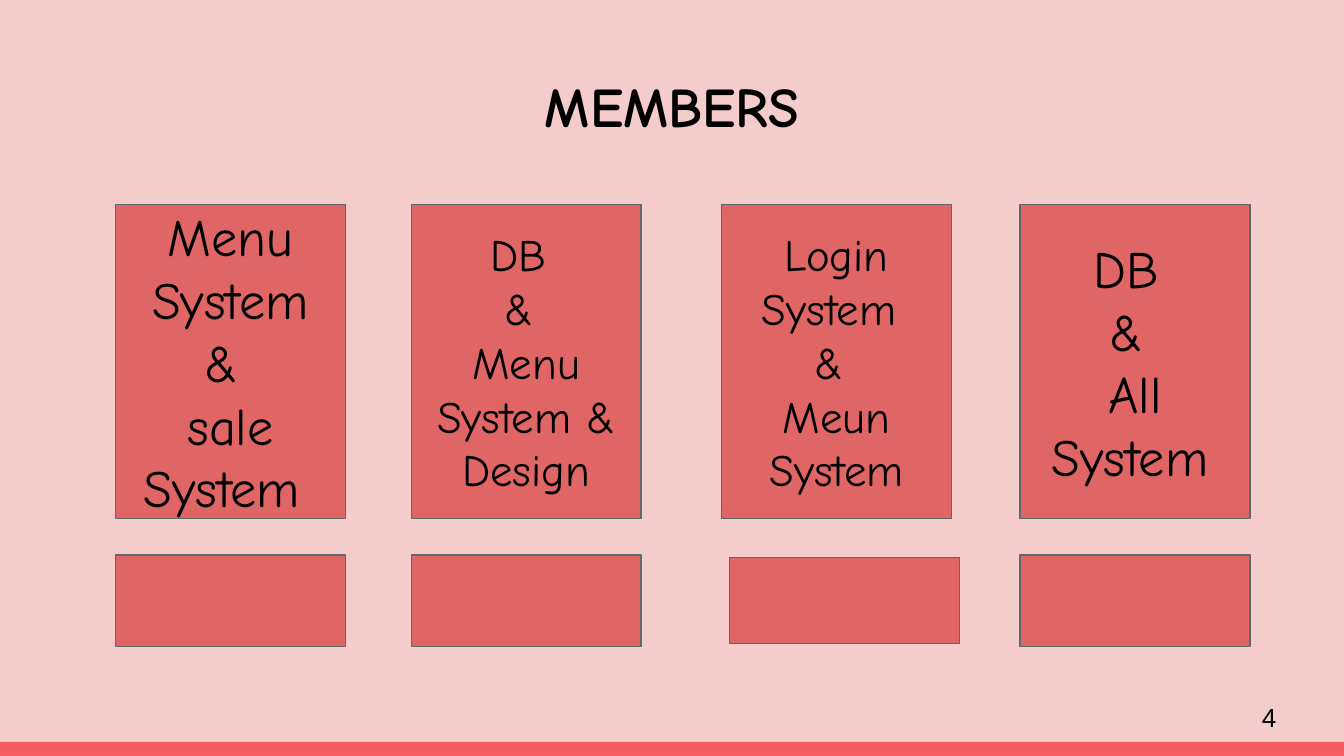
import pptx
import pptx.util
import pptx.dml.color
import pptx.enum.shapes
import pptx.enum.text

Inches, Pt = pptx.util.Inches, pptx.util.Pt
PP_ALIGN = pptx.enum.text.PP_ALIGN
MSO_ANCHOR = pptx.enum.text.MSO_ANCHOR
FONT = "Comic Neue"


def rgb(value):
    return pptx.dml.color.RGBColor.from_string(value)


def write(tf, paragraphs, align, anchor, **font):
    """Fill a text frame; a paragraph is a list of (text, font changes) runs."""
    frame = {"word_wrap": True, "vertical_anchor": anchor}
    for side in ("left", "right", "top", "bottom"):
        frame["margin_" + side] = Inches(0.1)
    for name, value in frame.items():
        setattr(tf, name, value)
    for i, runs in enumerate(paragraphs):
        p = tf.add_paragraph() if i else tf.paragraphs[0]
        p.alignment = align
        for text, changes in runs:
            r = p.add_run()
            r.text = text
            for name, value in {**font, **changes}.items():
                setattr(r.font, name, value)
            r.font.color.rgb = rgb("000000")


prs = pptx.Presentation()
prs.slide_width = Inches(10)
prs.slide_height = prs.slide_width * 9 // 16
s = prs.slides.add_slide(prs.slide_layouts[5])
s.background.fill.solid()
s.background.fill.fore_color.rgb = rgb("F4CCCC")

# Title
title = s.shapes.title
place = {"left": 0.34, "top": 0.43, "width": 9.32, "height": 0.68}
for name, value in place.items():
    setattr(title, name, Inches(value))
write(title.text_frame, [[("MEMBERS", {})]], PP_ALIGN.CENTER, MSO_ANCHOR.TOP,
      name=FONT, size=Pt(30), bold=True)
title.text_frame.auto_size = pptx.enum.text.MSO_AUTO_SIZE.NONE

# Members: card left, card text, text size, name box (left, top, height)
wide_space = (" ", {"name": "Noto Sans CJK KR", "size": Pt(24)})
members = [
    (0.86, [[("Menu System & ", {})], [("sale System ", {})]], 28,
     (0.86, 4.13, 0.68)),
    (3.06, [[("DB ", {})], [("& ", {})], [("Menu System & Design", {})]], 24,
     (3.06, 4.13, 0.68)),
    (5.37, [[("Login System ", {})], [("& ", {})], [("Meun System", {})]], 24,
     (5.43, 4.15, 0.64)),
    (7.59, [[("DB ", {})], [("& ", {})], [("All", {})],
            [("System", {}), wide_space]], 28, (7.59, 4.13, 0.68)),
]
card_width = 1.71

# Boxes: the footer bar, then a task card and a name box for each member
boxes = [(0, 5.52, 10, 0.11, "F55E61", None, [], 0)]
for left, task, size, (name_left, name_top, name_height) in members:
    boxes.append((left, 1.52, card_width, 2.34, "E06666", "5E696C", task, size))
    boxes.append((name_left, name_top, card_width, name_height,
                  "E06666", "5E696C", [], 0))

for left, top, width, height, fill, line, text, size in boxes:
    sp = s.shapes.add_shape(pptx.enum.shapes.MSO_SHAPE.RECTANGLE, Inches(left),
                            Inches(top), Inches(width), Inches(height))
    sp.shadow.inherit = False
    sp.fill.solid()
    sp.fill.fore_color.rgb = rgb(fill)
    if line:
        sp.line.color.rgb = rgb(line)
        sp.line.width = Pt(0.75)
    else:
        sp.line.fill.background()
    if text:
        write(sp.text_frame, text, PP_ALIGN.CENTER, MSO_ANCHOR.MIDDLE,
              name=FONT, size=Pt(size))

# Page number
number = s.shapes.add_textbox(Inches(9.29), Inches(5.12), Inches(0.6), Inches(0.43))
write(number.text_frame, [[("4", {})]], PP_ALIGN.LEFT, MSO_ANCHOR.MIDDLE,
      name="Arial", size=Pt(14))

prs.save("out.pptx")
